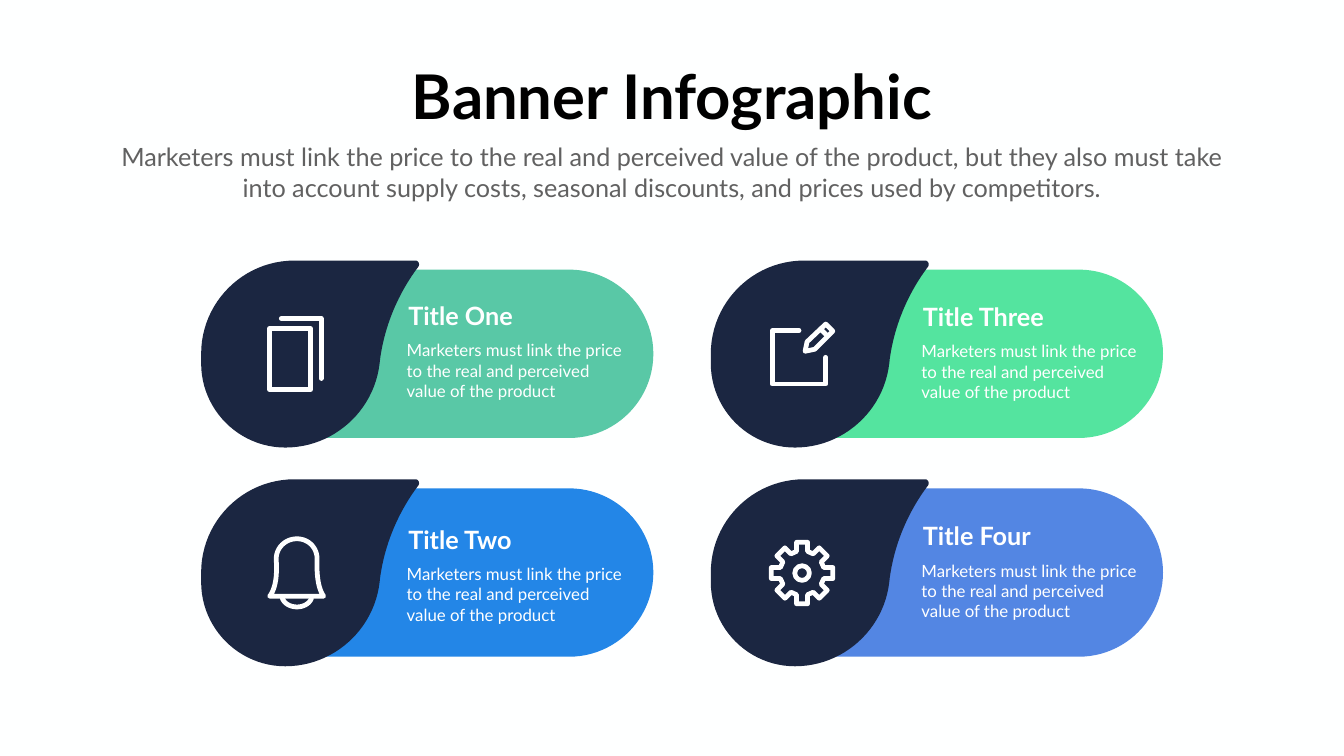
"""Build the four-card banner infographic slide."""
import pptx
import pptx.dml.color
import pptx.enum.shapes
import pptx.enum.text
import pptx.oxml
import pptx.oxml.ns
import pptx.util

Inches = pptx.util.Inches
ALIGN = pptx.enum.text.PP_ALIGN

COLORS = {
    "background": "FEFFFF", "title": "000000", "subtitle": "616161",
    "white": "FFFFFF", "navy": "1B2641", "teal": "59C8A6",
    "blue": "2386E7", "green": "54E49F", "indigo": "5386E3",
}
FONT = "Lato"
STROKE = 6.8
LEFT, TOP, STEP_X, STEP_Y = 3.99, 5.17, 10.11, 4.34
BODY = "Marketers must link the price to the real and perceived value of the product"

BANNER = [(1.76, 0.18), (7.3, 0.18), (8.22, 0.18, 8.97, 0.93, 8.97, 1.85),
          (8.97, 2.77, 8.22, 3.52, 7.3, 3.52), (1.76, 3.52)]
DROP = [(4.25, 0), (4.31, 0, 4.34, 0.07, 4.31, 0.12),
        (4.06, 0.45, 3.67, 1.08, 3.55, 1.95), (3.54, 2.04),
        (3.43, 2.99, 2.62, 3.71, 1.67, 3.71),
        (0.75, 3.71, 0, 2.96, 0, 2.04), (0, 1.85),
        (0, 0.83, 0.83, 0, 1.85, 0)]

GEAR_CENTER = (1.81, 1.86)
GEAR_QUARTER = [(-0.11, -0.61), (0.11, -0.61), (0.11, -0.43), (0.22, -0.38),
                (0.34, -0.5), (0.5, -0.34), (0.38, -0.22), (0.43, -0.11)]


def gear():
    """Return the gear outline, a quarter turned four times."""
    cx, cy = GEAR_CENTER
    points, quarter = [], GEAR_QUARTER
    for _ in range(4):
        points += [(cx + x, cy + y) for x, y in quarter]
        quarter = [(-y, x) for x, y in quarter]
    return points


PAGES = [([(1.36, 1.35), (2.17, 1.35), (2.17, 2.56), (1.36, 2.56)], True),
         ([(1.59, 1.15), (2.38, 1.15), (2.38, 2.34)], False)]
BELL = [([(1.36, 2.32), (1.48, 2.16, 1.51, 1.9, 1.49, 1.6),
          (1.48, 1.36, 1.67, 1.18, 1.9, 1.18),
          (2.13, 1.18, 2.31, 1.36, 2.3, 1.6),
          (2.29, 1.9, 2.32, 2.16, 2.43, 2.32)], True),
        ([(1.61, 2.36), (1.7, 2.59, 2.1, 2.59, 2.19, 2.36)], False)]
EDIT = [([(1.75, 1.39), (1.22, 1.39), (1.22, 2.45), (2.28, 2.45), (2.28, 1.92)], False),
        ([(1.87, 1.8), (1.91, 1.61), (2.28, 1.26), (2.42, 1.4), (2.06, 1.76)], True),
        ([(2.18, 1.36), (2.31, 1.49)], False)]
GEAR = [(gear(), True)]

CARDS = [
    ("Title One", "teal", 0, 0, PAGES, (4.01, 0.74)),
    ("Title Two", "blue", 0, 1, BELL, (4.01, 0.84)),
    ("Title Three", "green", 1, 0, EDIT, (4.11, 0.76)),
    ("Title Four", "indigo", 1, 1, GEAR, (4.11, 0.77)),
]


def flatten(nodes, steps=24):
    """Turn line and cubic curve nodes into points in EMU."""
    points = [nodes[0]]
    for node in nodes[1:]:
        if len(node) == 2:
            points.append(node)
            continue
        x0, y0 = points[-1]
        x1, y1, x2, y2, x3, y3 = node
        for i in range(1, steps + 1):
            t = i / steps
            a, b, c, d = (1 - t) ** 3, 3 * t * (1 - t) ** 2, 3 * t * t * (1 - t), t ** 3
            points.append((a * x0 + b * x1 + c * x2 + d * x3,
                           a * y0 + b * y1 + c * y2 + d * y3))
    return [(Inches(x), Inches(y)) for x, y in points]


def rgb(name):
    """Return the named colour."""
    return pptx.dml.color.RGBColor.from_string(COLORS[name])


class Deck:
    """Hold the style and the current slide."""

    def __init__(self, prs):
        self.s = prs.slides.add_slide(prs.slide_layouts[0])
        self.s.background.fill.solid()
        self.s.background.fill.fore_color.rgb = rgb("background")

    def set_text(self, sp, box, text, size, color, bold=False, align=ALIGN.LEFT, wrap=True):
        """Place a text shape and fill it with one paragraph."""
        sp.left, sp.top, sp.width, sp.height = map(Inches, box)
        tf = sp.text_frame
        tf.word_wrap = wrap
        tf.auto_size = pptx.enum.text.MSO_AUTO_SIZE.SHAPE_TO_FIT_TEXT
        tf.vertical_anchor = pptx.enum.text.MSO_ANCHOR.TOP
        p = tf.paragraphs[0]
        p.text = text
        p.alignment = align
        p.space_before = pptx.util.Pt(0)
        p.font.name, p.font.size, p.font.bold = FONT, pptx.util.Pt(size), bold
        p.font.color.rgb = rgb(color)

    def label(self, box, text, size, bold=False):
        """Add a white text box."""
        sp = self.s.shapes.add_textbox(0, 0, 0, 0)
        self.set_text(sp, box, text, size, "white", bold)

    def outline(self, x, y, contours):
        """Add a freeform made of (nodes, closed) contours."""
        builder = None
        for nodes, closed in contours:
            start, *rest = flatten(nodes)
            if builder is None:
                builder = self.s.shapes.build_freeform(*start, scale=1.0)
            else:
                builder.move_to(*start)
            builder.add_line_segments(rest, close=closed)
        sp = builder.convert_to_shape(Inches(x), Inches(y))
        sp.shadow.inherit = False
        return sp

    def filled(self, x, y, nodes, color):
        """Add a filled outline."""
        sp = self.outline(x, y, [(nodes, True)])
        sp.fill.solid()
        sp.fill.fore_color.rgb = rgb(color)
        sp.line.fill.background()

    def stroke(self, sp):
        """Give a shape a white line with round caps and joins."""
        sp.shadow.inherit = False
        sp.fill.background()
        sp.line.color.rgb = rgb("white")
        sp.line.width = pptx.util.Pt(STROKE)
        ln = sp.element.spPr.find(pptx.oxml.ns.qn("a:ln"))
        ln.set("cap", "rnd")
        ln.append(pptx.oxml.parse_xml("<a:round %s/>" % pptx.oxml.ns.nsdecls("a")))

    def ring(self, cx, cy, size):
        """Add a stroked circle around a centre."""
        oval = pptx.enum.shapes.MSO_SHAPE.OVAL
        box = (cx - size / 2, cy - size / 2, size, size)
        self.stroke(self.s.shapes.add_shape(oval, *map(Inches, box)))

    def card(self, title, color, col, row, icon, offset):
        """Add a banner with its drop, icon and texts."""
        x, y = LEFT + col * STEP_X, TOP + row * STEP_Y
        self.filled(x, y, BANNER, color)
        self.filled(x, y, DROP, "navy")
        self.stroke(self.outline(x, y, icon))
        if icon is GEAR:
            self.ring(x + GEAR_CENTER[0], y + GEAR_CENTER[1], 0.29)
        tx, ty = x + offset[0], y + offset[1]
        self.label((tx, ty, 2.92, 0.71), title, 36, True)
        self.label((tx - 0.03, ty + 0.79, 4.53, 1.31), BODY, 24)


def main():
    """Build and save the slide."""
    prs = pptx.Presentation()
    prs.slide_width, prs.slide_height = Inches(26.66), Inches(15)
    deck = Deck(prs)
    title, subtitle = deck.s.placeholders
    deck.set_text(title, (7.94, 1.1, 10.78, 1.58), "Banner Infographic",
                  88, "title", True, ALIGN.CENTER, False)
    deck.set_text(subtitle, (2.22, 2.76, 22.21, 1.31),
                  "Marketers must link the price to the real and perceived value of the product, "
                  "but they also must take into account supply costs, seasonal discounts, "
                  "and prices used by competitors.",
                  36, "subtitle", False, ALIGN.CENTER)
    for card in CARDS:
        deck.card(*card)
    prs.save("out.pptx")


if __name__ == "__main__":
    main()
